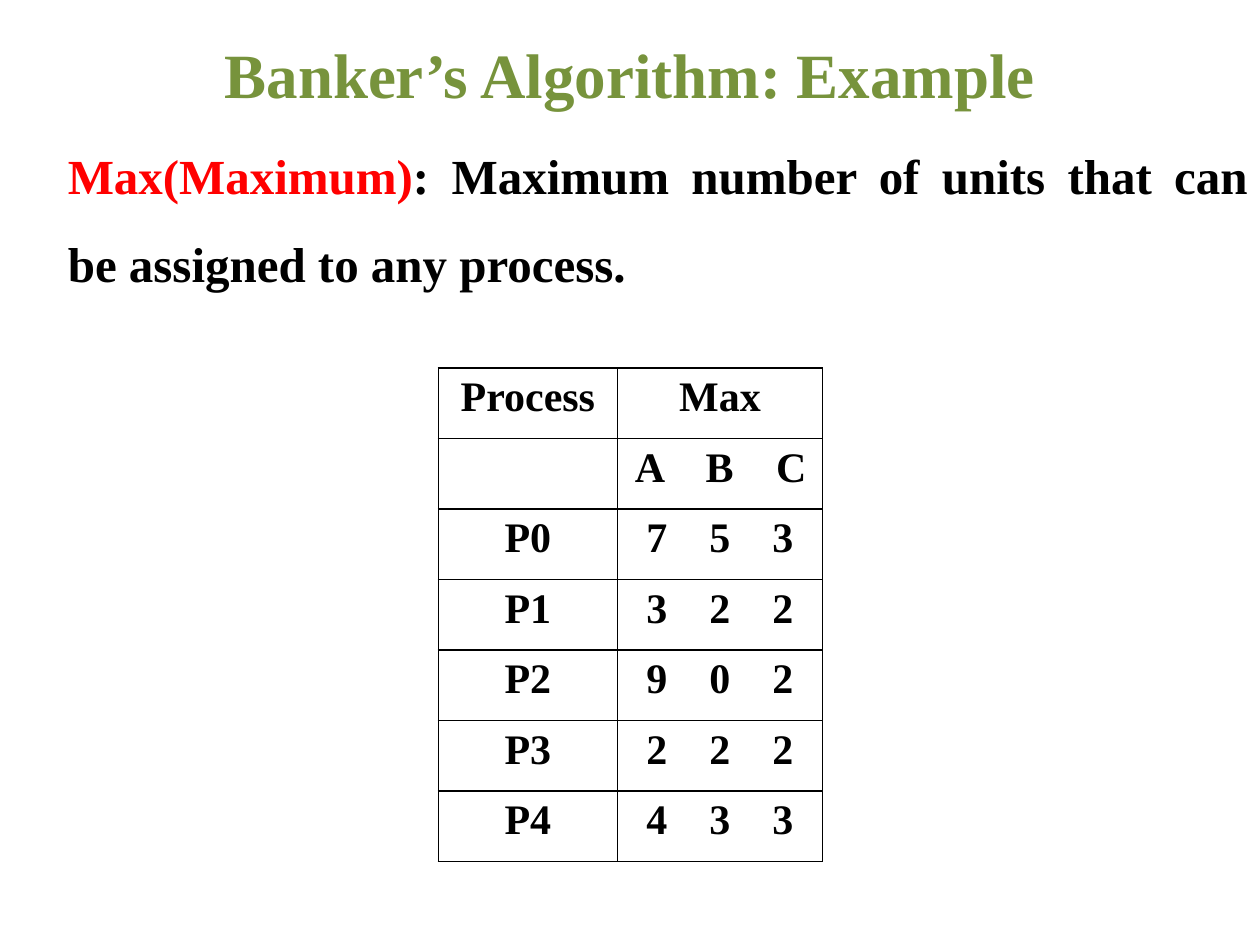
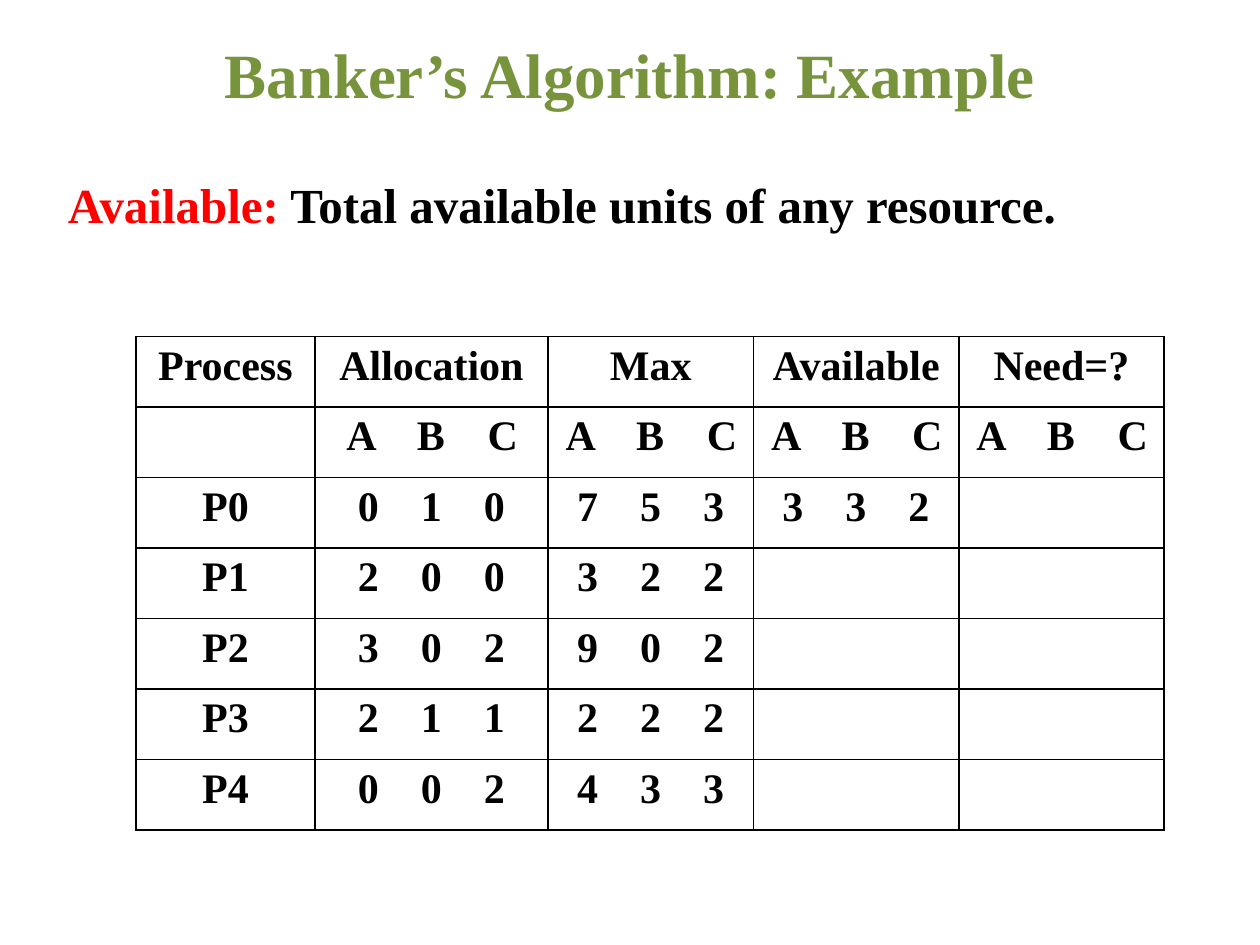
from dataclasses import dataclass

from lxml import etree
from pptx import Presentation
from pptx import util as u
from pptx.dml import color
from pptx.enum import text
from pptx.oxml import ns

TITLE = "Banker’s Algorithm: Example"
PROCESSES = ["P0", "P1", "P2", "P3", "P4"]
ALLOCATION = ["010", "200", "302", "211", "002"]
MAXIMUM = ["753", "322", "902", "222", "433"]
AVAILABLE = ["332"]

SLIDES = [
    dict(term="Max(Maximum)",
         meaning=": Maximum number of units that can be assigned to any process.",
         spacing=1.5, table_at=(3.48, 2.92),
         columns=[("Max", 1.63, MAXIMUM)]),
    dict(term="Available:",
         meaning=" Total available units of any resource.",
         spacing=2.0, table_at=(1.08, 2.67),
         columns=[("Allocation", 1.85, ALLOCATION), ("Max", 1.63, MAXIMUM),
                  ("Available", 1.63, AVAILABLE), ("Need=?", 1.63, [])]),
]


@dataclass(frozen=True)
class Theme:
    font: str = "Times New Roman"
    title: str = "77933C"
    term: str = "FF0000"
    ink: str = "000000"
    title_size: int = 36
    body_size: int = 28
    cell_size: int = 24
    process_width: float = 1.42
    row_height: float = 0.56
    letter_step: float = 0.56
    letter_span: float = 1.35
    digit_step: float = 0.5
    digit_span: float = 1.17


T = Theme()


def style(r, size, rgb):
    r.font.name = T.font
    r.font.size = u.Pt(size)
    r.font.bold = True
    r.font.color.rgb = color.RGBColor.from_string(rgb)


def add_box(s, left, top, width, height):
    tf = s.shapes.add_textbox(*map(u.Inches, (left, top, width, height))).text_frame
    tf.word_wrap = True
    return tf


def add_title(s):
    tf = add_box(s, 0, 0, 10, 1.17)
    tf.vertical_anchor = text.MSO_ANCHOR.MIDDLE
    p = tf.paragraphs[0]
    p.text = TITLE
    p.alignment = text.PP_ALIGN.CENTER
    style(p.runs[0], T.title_size, T.title)


def add_definition(s, term, meaning, spacing):
    p = add_box(s, 0, 0.87, 10, 6.63).paragraphs[0]
    p.alignment = text.PP_ALIGN.JUSTIFY
    p.line_spacing = spacing
    p.space_before = u.Pt(T.body_size * 0.2)
    pPr = p._p.get_or_add_pPr()
    pPr.set("marL", str(u.Inches(0.44)))
    pPr.set("indent", "0")
    for words, rgb in ((term, T.term), (meaning, T.ink)):
        r = p.add_run()
        r.text = words
        style(r, T.body_size, rgb)


def add_borders(cell):
    tcPr = cell._tc.get_or_add_tcPr()
    for side in ("a:lnL", "a:lnR", "a:lnT", "a:lnB"):
        line = etree.SubElement(tcPr, ns.qn(side), w=str(u.Pt(1)))
        fill = etree.SubElement(line, ns.qn("a:solidFill"))
        etree.SubElement(fill, ns.qn("a:srgbClr"), val=T.ink)


def set_tabs(p, step, count):
    tabs = etree.SubElement(p._p.get_or_add_pPr(), ns.qn("a:tabLst"))
    for i in range(1, count):
        etree.SubElement(tabs, ns.qn("a:tab"), pos=str(u.Inches(step * i)), algn="l")


def write_label(cell, label):
    p = cell.text_frame.paragraphs[0]
    p.text = label
    p.alignment = text.PP_ALIGN.CENTER
    for r in p.runs:
        style(r, T.cell_size, T.ink)


def write_units(cell, units, width):
    step, span = ((T.digit_step, T.digit_span) if units.isdigit()
                  else (T.letter_step, T.letter_span))
    write_label(cell, "\t".join(units))
    p = cell.text_frame.paragraphs[0]
    p.alignment = text.PP_ALIGN.LEFT
    set_tabs(p, step, len(units))
    cell.margin_left = u.Inches((width - span) / 2)
    cell.margin_right = 0


def add_units_table(s, table_at, columns):
    widths = [T.process_width] + [width for _, width, _ in columns]
    n_rows = len(PROCESSES) + 2
    size = sum(widths), n_rows * T.row_height
    table = s.shapes.add_table(n_rows, len(widths),
                               *map(u.Inches, (*table_at, *size))).table
    table.first_row = table.horz_banding = False
    for column, width in zip(table.columns, widths):
        column.width = u.Inches(width)
    for row in table.rows:
        row.height = u.Inches(T.row_height)
    for cell in table.iter_cells():
        add_borders(cell)
        cell.fill.background()
    write_label(table.cell(0, 0), "Process")
    for i, process in enumerate(PROCESSES, 2):
        write_label(table.cell(i, 0), process)
    for j, (heading, width, values) in enumerate(columns, 1):
        write_label(table.cell(0, j), heading)
        for i, units in enumerate(["ABC", *values], 1):
            write_units(table.cell(i, j), units, width)


def main():
    prs = Presentation()
    prs.slide_width, prs.slide_height = u.Inches(10), u.Inches(7.5)
    for item in SLIDES:
        s = prs.slides.add_slide(prs.slide_layouts[6])
        add_definition(s, item["term"], item["meaning"], item["spacing"])
        add_title(s)
        add_units_table(s, item["table_at"], item["columns"])
    prs.save("out.pptx")


if __name__ == "__main__":
    main()
